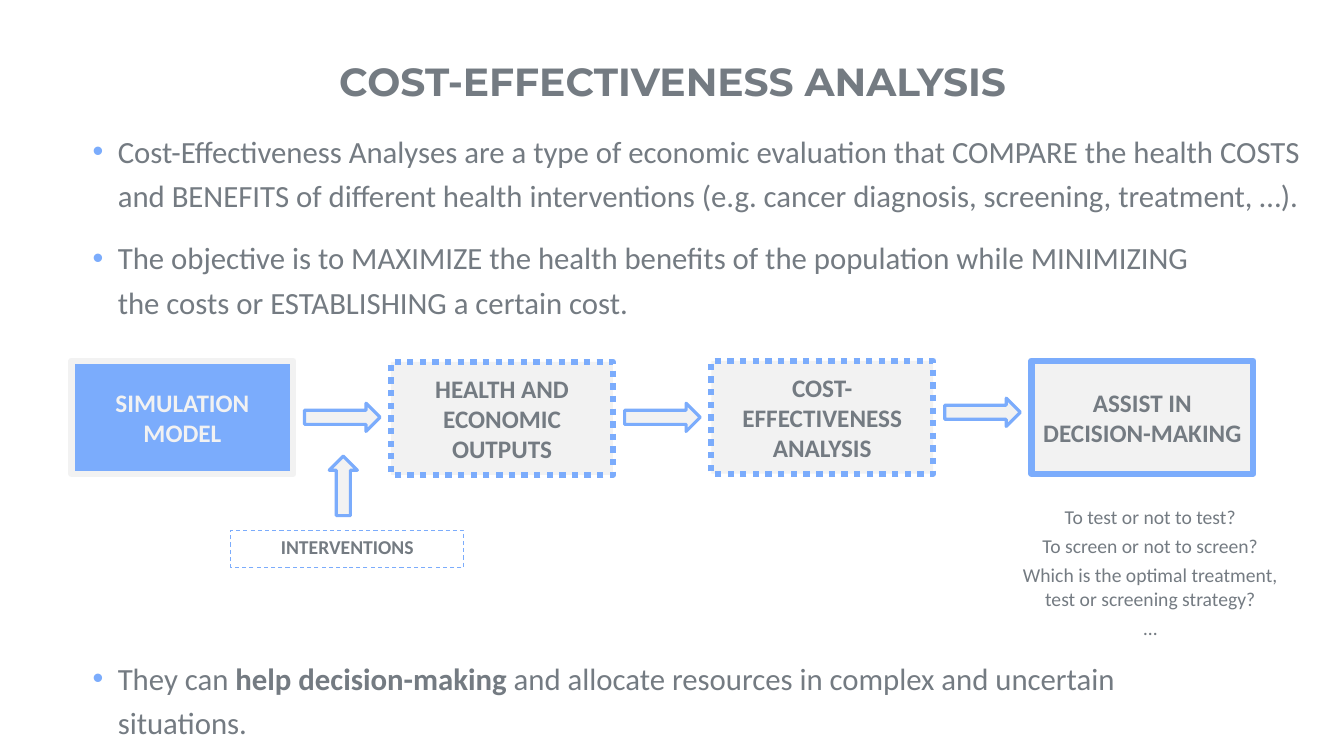
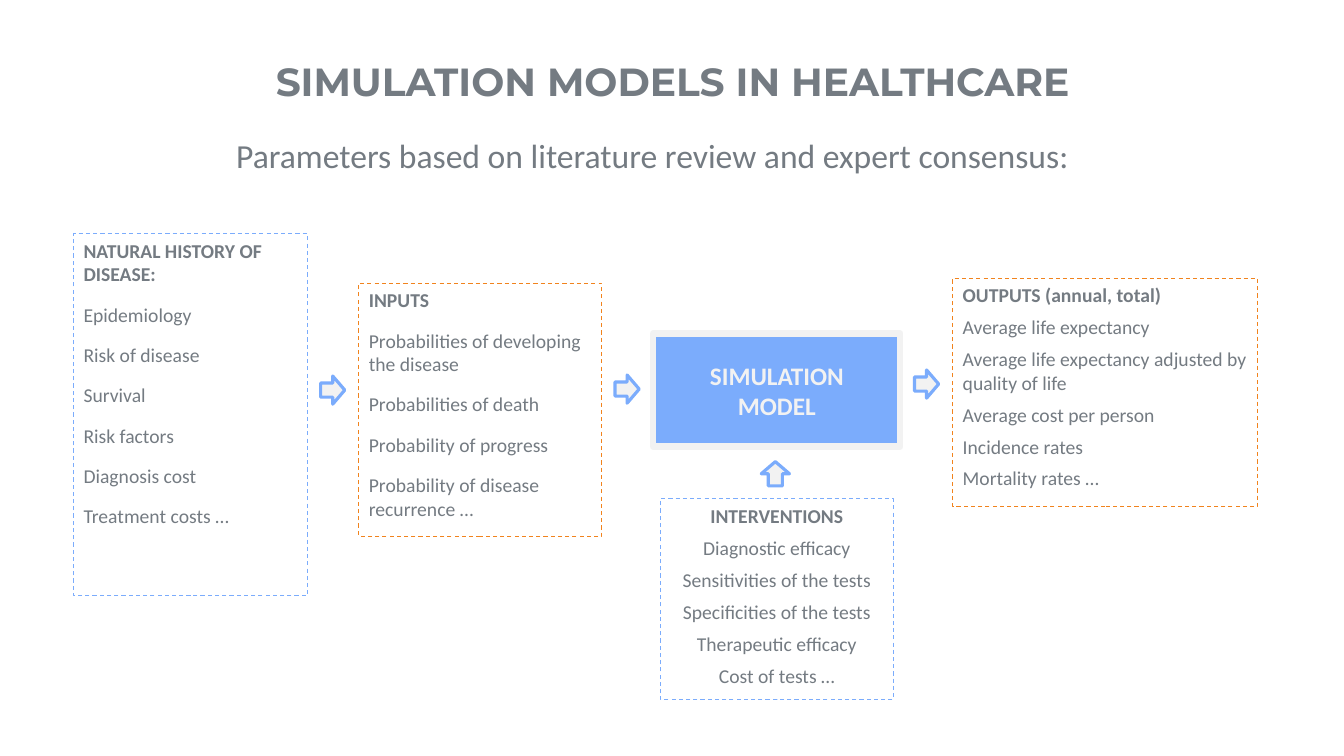
import pptx
import pptx.dml.color
import pptx.enum.dml
import pptx.enum.shapes
import pptx.enum.text
import pptx.oxml.ns
import pptx.util
import lxml.etree

Inches = pptx.util.Inches
Pt = pptx.util.Pt
RGBColor = pptx.dml.color.RGBColor
SHAPE = pptx.enum.shapes.MSO_SHAPE
DASH = pptx.enum.dml.MSO_LINE
ALIGN = pptx.enum.text.PP_ALIGN
ANCHOR = pptx.enum.text.MSO_ANCHOR
AUTO_SIZE = pptx.enum.text.MSO_AUTO_SIZE

BLUE = RGBColor(0x7B, 0xAC, 0xFC)
ORANGE = RGBColor(0xF1, 0x83, 0x1D)
GREY = RGBColor(0x74, 0x7B, 0x82)
LIGHT = RGBColor(0xF2, 0xF2, 0xF2)
BODY_FONT = "Calibri"
TITLE_FONT = "Montserrat"
STAGE_HEIGHT = 1.12
ARROW_HEIGHT = 0.28


def set_attrs(obj, values):
    for name, value in values.items():
        setattr(obj, name, value)


def add_run(p, text, size, bold=False, color=GREY, name=BODY_FONT):
    r = p.add_run()
    r.text = text
    set_attrs(r.font, {"size": Pt(size), "bold": bold, "name": name})
    r.font.color.rgb = color


def add_line(tf, text, size, bold=False, color=GREY, align=ALIGN.CENTER, before=0):
    p = tf.add_paragraph() if tf.paragraphs[0].runs else tf.paragraphs[0]
    set_attrs(p, {"alignment": align, "space_before": Pt(before)})
    add_run(p, text, size, bold, color)


def add_text_box(slide, left, top, width, height):
    sp = slide.shapes.add_textbox(*map(Inches, (left, top, width, height)))
    sp.text_frame.word_wrap = True
    return sp.text_frame


def add_shape(slide, kind, at, fill, line, weight, dash=None):
    sp = slide.shapes.add_shape(kind, *map(Inches, at))
    sp.shadow.inherit = False
    if fill is None:
        sp.fill.background()
    else:
        sp.fill.solid()
        sp.fill.fore_color.rgb = fill
    sp.line.color.rgb = line
    set_attrs(sp.line, {"width": Pt(weight), "dash_style": dash})
    return sp


def add_title_slide(prs, title):
    slide = prs.slides.add_slide(prs.slide_layouts[5])
    sp = slide.shapes.title
    set_attrs(sp, {"left": Inches(0.92), "top": Inches(0.3),
                   "width": Inches(11.5), "height": Inches(1.01)})
    tf = sp.text_frame
    set_attrs(tf, {"margin_left": 0, "margin_right": 0, "margin_top": 0,
                   "margin_bottom": 0, "vertical_anchor": ANCHOR.MIDDLE,
                   "word_wrap": True, "auto_size": AUTO_SIZE.NONE})
    p = tf.paragraphs[0]
    p.alignment = ALIGN.CENTER
    add_run(p, title, 28, True, name=TITLE_FONT)
    return slide


def add_stage(slide, left, top, width, lines, fill=LIGHT, line=BLUE,
              color=GREY, dash=None):
    at = (left, top, width, STAGE_HEIGHT)
    sp = add_shape(slide, SHAPE.RECTANGLE, at, fill, line, 4.5, dash)
    tf = sp.text_frame
    set_attrs(tf, {"word_wrap": True, "vertical_anchor": ANCHOR.MIDDLE})
    for text in lines:
        add_line(tf, text, 18, True, color)


def add_model(slide, left, top, width):
    add_stage(slide, left, top, width, ["SIMULATION", "MODEL"],
              fill=BLUE, line=LIGHT, color=LIGHT)


def add_arrow(slide, left, top, width, rotation=0):
    at = (left, top, width, ARROW_HEIGHT)
    sp = add_shape(slide, SHAPE.RIGHT_ARROW, at, LIGHT, BLUE, 2.25)
    sp.rotation = rotation


def add_list_box(slide, at, heading, items=(), line=BLUE, align=ALIGN.LEFT, gap=12):
    sp = add_shape(slide, SHAPE.RECTANGLE, at, None, line, 0.75, DASH.DASH)
    tf = sp.text_frame
    set_attrs(tf, {"word_wrap": True, "vertical_anchor": ANCHOR.TOP})
    add_line(tf, heading, 14, True, align=align, before=12)
    for text in items:
        add_line(tf, text, 14, align=align, before=gap)


def add_bullet(slide, at, runs):
    p = add_text_box(slide, *at).paragraphs[0]
    p.line_spacing = 1.2
    pPr = p._p.get_or_add_pPr()
    pPr.set("marL", str(Inches(0.25)))
    pPr.set("indent", str(-Inches(0.25)))
    qn = pptx.oxml.ns.qn
    clr = lxml.etree.SubElement(pPr, qn("a:buClr"))
    lxml.etree.SubElement(clr, qn("a:srgbClr")).set("val", str(BLUE))
    lxml.etree.SubElement(pPr, qn("a:buFont")).set("typeface", "Arial")
    lxml.etree.SubElement(pPr, qn("a:buChar")).set("char", "•")
    for text, bold in runs:
        add_run(p, text, 22, bold)


def build_analysis(prs):
    slide = add_title_slide(prs, "COST-EFFECTIVENESS ANALYSIS")
    add_bullet(slide, (0.82, 1.19, 12.29, 0.93), [
        ("Cost-Effectiveness Analyses are a type of economic evaluation that "
         "COMPARE the health COSTS and BENEFITS of different health interventions "
         "(e.g. cancer diagnosis, screening, treatment, …).", False)])
    add_bullet(slide, (0.82, 2.25, 11.51, 0.99), [
        ("The objective is to MAXIMIZE the health benefits of the population while "
         "MINIMIZING the costs or ESTABLISHING a certain cost.", False)])
    add_bullet(slide, (0.82, 6.42, 11.6, 0.67), [
        ("They can ", False), ("help decision-making ", True),
        ("and allocate resources in complex and uncertain situations.", False)])

    add_model(slide, 0.71, 3.58, 2.2)
    stages = [
        (3.59, "HEALTH AND ECONOMIC OUTPUTS", DASH.ROUND_DOT),
        (3.58, "COST-EFFECTIVENESS ANALYSIS", DASH.ROUND_DOT),
        (3.58, "ASSIST IN DECISION-MAKING", None),
    ]
    for i, (top, text, dash) in enumerate(stages):
        add_stage(slide, 3.88 + 3.175 * i, top, 2.2, [text], dash=dash)
    for i, top in enumerate((4, 4, 3.95)):
        add_arrow(slide, 3.02 + 3.175 * i, top, 0.75)

    add_list_box(slide, (2.29, 5.26, 2.31, 0.37), "INTERVENTIONS", align=ALIGN.CENTER)
    add_arrow(slide, 3.11, 4.68, 0.59, 270)
    tf = add_text_box(slide, 9.96, 4.96, 2.9, 1.5)
    for text in ("To test or not to test?", "To screen or not to screen?",
                 "Which is the optimal treatment, test or screening strategy?", "…"):
        add_line(tf, text, 14, before=4)


def build_models(prs):
    slide = add_title_slide(prs, "SIMULATION MODELS IN HEALTHCARE")
    tf = add_text_box(slide, 0.76, 1.29, 11.42, 0.5)
    tf.auto_size = AUTO_SIZE.SHAPE_TO_FIT_TEXT
    add_line(tf, "Parameters based on literature review and expert consensus:",
             24, before=12)

    add_model(slide, 6.48, 3.31, 2.45)
    add_list_box(slide, (0.73, 2.32, 2.32, 3.59), "NATURAL HISTORY OF DISEASE:", [
        "Epidemiology", "Risk of disease", "Survival", "Risk factors",
        "Diagnosis cost", "Treatment costs …"])
    add_list_box(slide, (3.56, 2.81, 2.41, 2.51), "INPUTS", [
        "Probabilities of developing the disease", "Probabilities of death",
        "Probability of progress", "Probability of disease recurrence …"],
        line=ORANGE)
    add_list_box(slide, (9.45, 2.76, 3.02, 2.27), "OUTPUTS (annual, total)", [
        "Average life expectancy",
        "Average life expectancy adjusted by quality of life",
        "Average cost per person", "Incidence rates", "Mortality rates …"],
        line=ORANGE, gap=6)
    add_list_box(slide, (6.55, 4.95, 2.31, 1.99), "INTERVENTIONS", [
        "Diagnostic efficacy", "Sensitivities of the tests",
        "Specificities of the tests", "Therapeutic efficacy", "Cost of tests …"],
        align=ALIGN.CENTER, gap=6)
    for left, top, rotation in ((3.18, 3.73, 0), (6.1, 3.72, 0),
                                (9.07, 3.67, 0), (7.57, 4.56, 270)):
        add_arrow(slide, left, top, 0.24, rotation)


def main():
    prs = pptx.Presentation()
    set_attrs(prs, {"slide_width": Inches(13.33), "slide_height": Inches(7.5)})
    build_analysis(prs)
    build_models(prs)
    prs.save("out.pptx")


if __name__ == "__main__":
    main()
